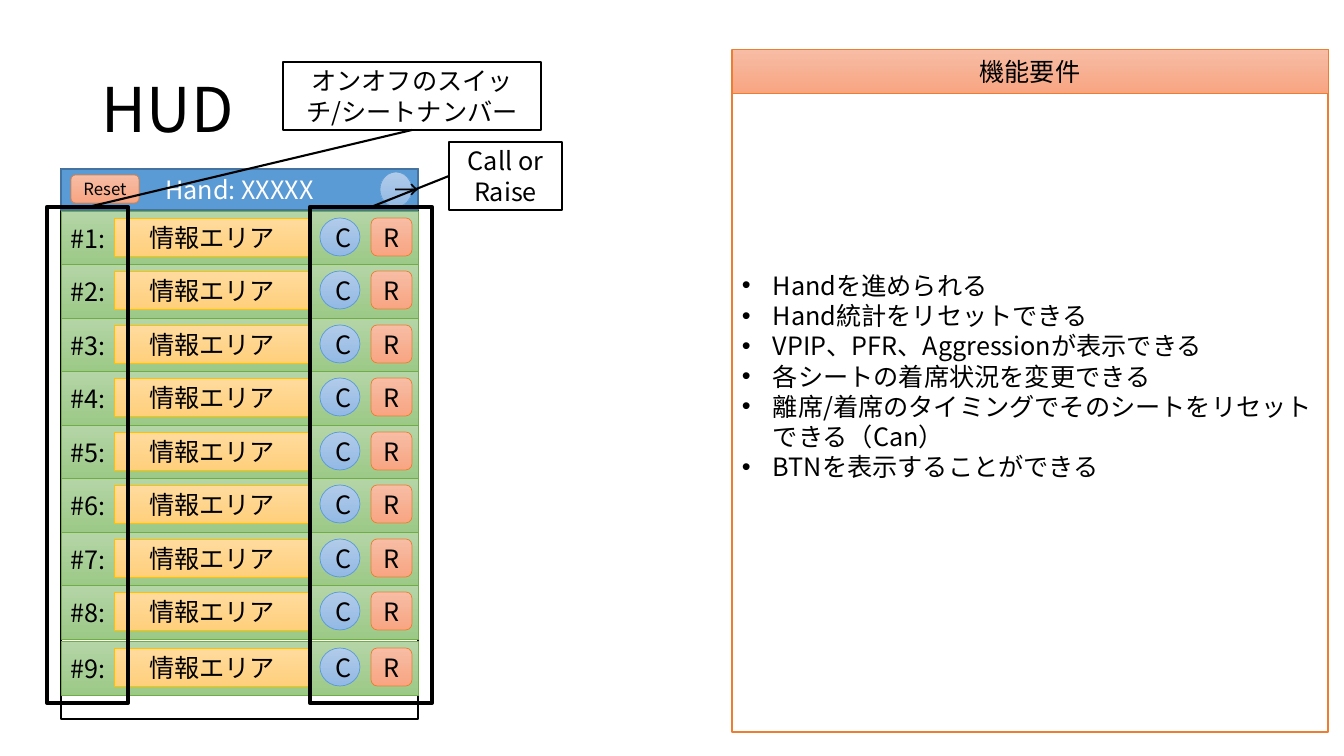
from dataclasses import dataclass

from pptx import Presentation, util as u
from pptx.dml.color import RGBColor
from pptx.enum import shapes, text
from pptx.oxml.ns import qn
from lxml import etree

SCALE = 914400 / 100.8
FONT = "Noto Sans CJK JP"
RECT = shapes.MSO_SHAPE.RECTANGLE
ROUND = shapes.MSO_SHAPE.ROUNDED_RECTANGLE
OVAL = shapes.MSO_SHAPE.OVAL
LEFT, CENTER = text.PP_ALIGN.LEFT, text.PP_ALIGN.CENTER


@dataclass(frozen=True)
class Style:
    fill: tuple[str, ...]
    line: str
    weight: float = 0.5


@dataclass(frozen=True)
class Box:
    left: int
    top: int
    width: int
    height: int
    style: Style
    words: str = ""
    kind: shapes.MSO_SHAPE = RECT
    align: text.PP_ALIGN = CENTER
    size: int = 18
    color: str = "000000"


ORANGE = Style(("F7BDA5", "F8A582"), "ED7D31")
BLUE = Style(("B1CBE9", "93B9E4"), "5B9BD5")
GREEN = Style(("B5D5A7", "9CC987"), "70AD47")
YELLOW = Style(("FFDB9E", "FFD07C"), "FFC000")
HEADER = Style(("5B9BD5",), "43739E", 1)
PLAIN = Style(("FFFFFF",), "000000", 1)
PANEL = Style(("FFFFFF",), "ED7D31", 1)
MARKER = Style((), "000000", 3)

REQUIREMENTS = [
    "Handを進められる",
    "Hand統計をリセットできる",
    "VPIP、PFR、Aggressionが表示できる",
    "各シートの着席状況を変更できる",
    "離席/着席のタイミングでそのシートをリセットできる（Can）",
    "BTNを表示することができる",
]


def px(length: int) -> int:
    return round(length * SCALE)


def rgb(value: str) -> RGBColor:
    return RGBColor.from_string(value)


def set_font(para, size: int, color: str) -> None:
    font = para.font
    font.name, font.size = FONT, u.Pt(size)
    font.color.rgb = rgb(color)
    latin = para._p.pPr.find(qn("a:defRPr")).find(qn("a:latin"))
    east = etree.Element(qn("a:ea"), typeface=FONT)
    latin.addnext(east)


def paint(shape, style: Style) -> None:
    shape.shadow.inherit = False
    if not style.fill:
        shape.fill.background()
    elif len(style.fill) == 1:
        shape.fill.solid()
        shape.fill.fore_color.rgb = rgb(style.fill[0])
    else:
        shape.fill.gradient()
        shape.fill.gradient_angle = 270
        for stop, color in zip(shape.fill.gradient_stops, style.fill):
            stop.color.rgb = rgb(color)
    shape.line.color.rgb = rgb(style.line)
    shape.line.width = u.Pt(style.weight)


def draw(parent, box: Box):
    shape = parent.add_shape(
        box.kind, px(box.left), px(box.top), px(box.width), px(box.height)
    )
    paint(shape, box.style)
    if box.words:
        frame = shape.text_frame
        frame.word_wrap = True
        frame.vertical_anchor = text.MSO_ANCHOR.MIDDLE
        frame.text = box.words
        for para in frame.paragraphs:
            para.alignment = box.align
            set_font(para, box.size, box.color)
    return shape


def draw_line(parent, x1: int, y1: int, x2: int, y2: int) -> None:
    line = parent.add_connector(
        shapes.MSO_CONNECTOR.STRAIGHT, px(x1), px(y1), px(x2), px(y2)
    )
    line.line.color.rgb = rgb("000000")
    line.line.width = u.Pt(1.5)
    etree.SubElement(line._element.spPr, qn("a:effectLst"))


def add_bullets(shape) -> None:
    for para in shape.text_frame.paragraphs:
        props = para._p.get_or_add_pPr()
        props.set("marL", str(px(31)))
        props.set("indent", str(px(-31)))
        mark = etree.Element(qn("a:buChar"), char="•")
        face = etree.Element(qn("a:buFont"), typeface="Arial")
        props.find(qn("a:defRPr")).addprevious(face)
        face.addnext(mark)


def draw_seat(parent, seat: int) -> None:
    top = 211 + (seat - 1) * 107 // 2 + (2 if seat == 9 else 0)
    row = parent.add_group_shape().shapes
    for box in (
        Box(61, top, 357, 54, GREEN, f"#{seat}:", align=LEFT),
        Box(371, top + 7, 41, 38, ORANGE, "R", ROUND),
        Box(320, top + 7, 40, 38, BLUE, "C", OVAL),
        Box(114, top + 7, 196, 38, YELLOW, "情報エリア"),
    ):
        draw(row, box)


deck = Presentation()
deck.slide_width, deck.slide_height = px(1344), px(756)
page = deck.slides.add_slide(deck.slide_layouts[6])
canvas = page.shapes

title = canvas.add_textbox(px(92), px(40), px(1159), px(146)).text_frame
title.word_wrap = True
title.vertical_anchor = text.MSO_ANCHOR.MIDDLE
title.text = "HUD"
title.paragraphs[0].line_spacing = 0.9
set_font(title.paragraphs[0], 44, "000000")

draw(canvas, Box(61, 169, 357, 550, PLAIN))
panel = draw(canvas, Box(732, 50, 596, 682, PANEL, "\n".join(REQUIREMENTS), align=LEFT))
panel.text_frame.margin_bottom = px(35)
add_bullets(panel)

for box in (
    Box(732, 49, 596, 44, ORANGE, "機能要件"),
    Box(61, 169, 357, 41, HEADER, "Hand: XXXXX", color="FFFFFF"),
    Box(380, 172, 32, 35, BLUE, "→", OVAL),
    Box(71, 175, 68, 28, ORANGE, "Reset", ROUND, size=12),
):
    draw(canvas, box)

for seat in range(1, 10):
    draw_seat(canvas, seat)

draw(canvas, Box(47, 207, 81, 496, MARKER))
draw(canvas, Box(283, 62, 258, 68, PLAIN, "オンオフのスイッチ/シートナンバー"))
draw_line(canvas, 412, 130, 88, 207)
draw(canvas, Box(310, 207, 122, 496, MARKER))
draw(canvas, Box(449, 142, 113, 68, PLAIN, "Call or Raise"))
draw_line(canvas, 449, 176, 371, 207)

deck.save("out.pptx")
